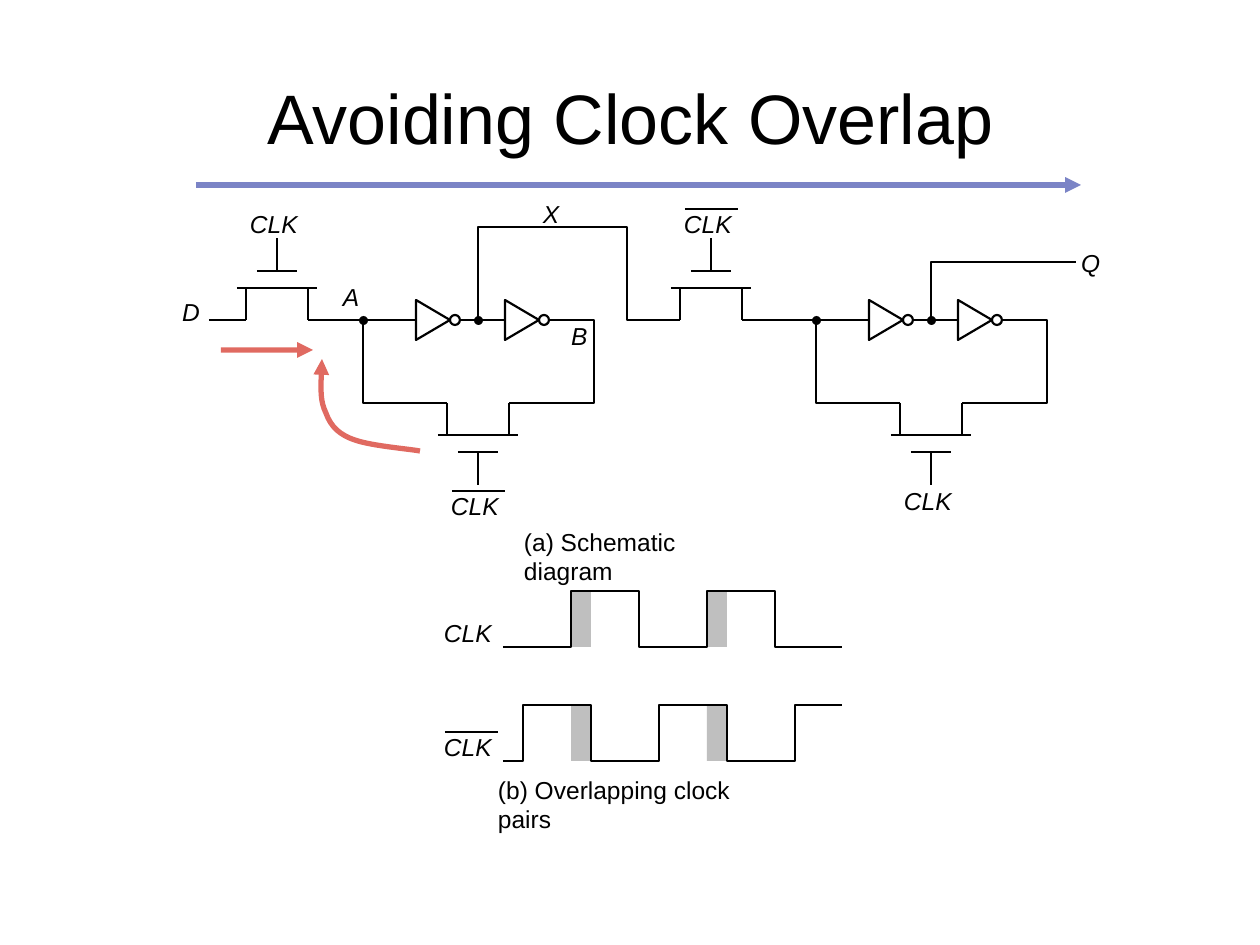
from dataclasses import dataclass

from lxml.etree import SubElement
from pptx import Presentation
from pptx.dml.color import RGBColor
from pptx.enum.shapes import MSO_CONNECTOR as Connector, MSO_SHAPE as Preset
from pptx.enum.text import MSO_ANCHOR as Anchor, MSO_AUTO_SIZE as AutoSize, PP_ALIGN as Align
from pptx.oxml.ns import qn
from pptx.util import Pt

EMU_PER_PX = 914400 / 126


@dataclass(frozen=True)
class Theme:
    font: str = "Arial"
    title_size: int = 40
    label_size: int = 14
    ink: str = "000000"
    paper: str = "FFFFFF"
    overlap: str = "BFBFBF"
    rule: str = "7B84C6"
    signal: str = "D01608"
    signal_alpha: int = 64
    wire: float = 0.88
    bar: float = 1.25
    arrow: float = 3


THEME = Theme()


def px(value):
    return round(value * EMU_PER_PX)


def color(code):
    return RGBColor.from_string(code)


def add_run(paragraph, text, size, italic=False):
    run = paragraph.add_run()
    run.text = text
    run.font.name = THEME.font
    run.font.size = Pt(size)
    run.font.italic = italic
    run.font.color.rgb = color(THEME.ink)


def style_line(shape, width, code, alpha=None, arrow=False):
    shape.line.color.rgb = color(code)
    shape.line.width = Pt(width)
    line = shape._element.find(".//" + qn("a:ln"))
    if alpha is not None:
        SubElement(line.find(".//" + qn("a:srgbClr")), qn("a:alpha"), val=str(alpha * 1000))
    if arrow:
        SubElement(line, qn("a:tailEnd"), type="triangle")


@dataclass
class Region:
    slide: object
    left: int
    top: int

    def line(self, start, end, width=THEME.wire, code=THEME.ink, **options):
        points = [px(v) for x, y in (start, end) for v in (self.left + x, self.top + y)]
        connector = self.slide.shapes.add_connector(Connector.STRAIGHT, *points)
        style_line(connector, width, code, **options)
        SubElement(connector._element.spPr, qn("a:effectLst"))

    def outline(self, points, width=THEME.wire, code=THEME.ink, close=False, **options):
        placed = [(self.left + x, self.top + y) for x, y in points]
        builder = self.slide.shapes.build_freeform(*placed[0], scale=EMU_PER_PX)
        builder.add_line_segments(placed[1:], close=close)
        shape = builder.convert_to_shape()
        shape.shadow.inherit = False
        shape.fill.background()
        style_line(shape, width, code, **options)
        return shape

    def curve(self, points, **options):
        shape = self.outline(points, **options)
        outline_path = shape._element.find(".//" + qn("a:path"))
        segments = outline_path.findall(qn("a:lnTo"))
        for first in range(0, len(segments), 3):
            bezier = SubElement(outline_path, qn("a:cubicBezTo"))
            for segment in segments[first:first + 3]:
                bezier.append(segment[0])
                outline_path.remove(segment)

    def solid(self, preset, left, top, width, height, fill, outlined=False):
        shape = self.slide.shapes.add_shape(
            preset, px(self.left + left), px(self.top + top), px(width), px(height))
        shape.shadow.inherit = False
        shape.fill.solid()
        shape.fill.fore_color.rgb = color(fill)
        if outlined:
            style_line(shape, THEME.bar, THEME.ink)
        else:
            shape.line.fill.background()

    def label(self, text, left, top, width=48, italic=True, overline=False):
        box = self.slide.shapes.add_textbox(
            px(self.left + left), px(self.top + top), px(width), px(29))
        frame = box.text_frame
        frame.margin_left = frame.margin_right = frame.margin_top = frame.margin_bottom = 0
        frame.word_wrap = False
        frame.auto_size = AutoSize.SHAPE_TO_FIT_TEXT
        add_run(frame.paragraphs[0], text, THEME.label_size, italic)
        if overline:
            self.line((left + 1, top), (left + 54, top))


def add_header(slide, left, top, width, height):
    title = slide.shapes.title
    title.left, title.top, title.width, title.height = map(px, (left, top, width, height))
    title.text_frame.vertical_anchor = Anchor.MIDDLE
    paragraph = title.text_frame.paragraphs[0]
    paragraph.alignment = Align.CENTER
    add_run(paragraph, "Avoiding Clock Overlap", THEME.title_size)
    Region(slide, left, top).line((133, 147), (1018, 147), THEME.arrow, THEME.rule, arrow=True)


def add_transistor(region, center, channel, side):
    plate = channel + side * 17
    for leg in (center - 31, center + 31):
        region.line((leg, channel - side * 32), (leg, channel))
    region.line((center - 40, channel), (center + 40, channel), THEME.bar)
    region.line((center - 20, plate), (center + 20, plate), THEME.bar)
    region.line((center, plate), (center, channel + side * 50))


def add_inverter(region, left, row):
    region.outline([(left, row + 20), (left + 34, row), (left, row - 20)], THEME.bar, close=True)
    region.solid(Preset.OVAL, left + 34, row - 5, 10, 10, THEME.paper, outlined=True)


def add_latch(region, node, row):
    middle, end, depth = node + 115, node + 231, row + 83
    region.line((node, row), (node + 53, row))
    region.line((node + 97, row), (node + 142, row))
    region.outline([(node, row), (node, depth), (middle - 31, depth)])
    region.outline([(node + 187, row), (end, row), (end, depth), (middle + 31, depth)])
    for left in (node + 53, node + 142):
        add_inverter(region, left, row)
    for dot in (node, middle):
        region.solid(Preset.OVAL, dot - 4, row - 4, 9, 9, THEME.ink)
    add_transistor(region, middle, row + 115, 1)


def add_schematic(slide, left, top):
    region = Region(slide, left, top)
    row, master, follower = 130, 181, 634
    for center in (95, 529):
        add_transistor(region, center, row - 32, -1)
    region.line((27, row), (64, row))
    region.line((126, row), (master, row))
    region.line((560, row), (follower, row))
    region.outline([(498, row), (445, row), (445, 37), (master + 115, 37), (master + 115, row)])
    region.outline([(follower + 115, row), (follower + 115, 72), (894, 72)])
    for node in (master, follower):
        add_latch(region, node, row)

    for text, x, y in (("D", 0, 107), ("A", 161, 92), ("X", 361, 9), ("B", 389, 131), ("Q", 899, 58)):
        region.label(text, x, y, 18)
    for x, y, inverted in ((68, 19, False), (502, 19, True), (269, 301, True), (722, 296, False)):
        region.label("CLK", x, y, overline=inverted)
    region.label("(a) Schematic diagram", 342, 337, 247, italic=False)

    signal = dict(width=THEME.arrow, code=THEME.signal, alpha=THEME.signal_alpha, arrow=True)
    region.line((39, 160), (131, 160), **signal)
    region.curve([(238, 261), (228, 259), (190, 256), (173, 250), (158, 245),
                  (149, 237), (144, 223), (138, 211), (139, 189), (140, 169)], **signal)


def add_waveform(region, start, top, edges, inverted):
    height = 56
    for shade in (68, 204):
        region.solid(Preset.RECTANGLE, start + shade, top, 20, height, THEME.overlap)
    level = top + height
    points = [(start, level)]
    for edge in edges:
        points.append((start + edge, level))
        level = 2 * top + height - level
        points.append((start + edge, level))
    region.outline(points + [(start + 339, level)])
    region.label("CLK", 0, top + 27, overline=inverted)


def add_timing(slide, left, top):
    region = Region(slide, left, top)
    half = 68
    add_waveform(region, 59, 0, [half * step for step in range(1, 5)], False)
    add_waveform(region, 59, 114, [20 + half * step for step in range(5)], True)
    region.label("(b) Overlapping clock pairs", 54, 184, 292, italic=False)


def main():
    presentation = Presentation()
    presentation.slide_width, presentation.slide_height = px(1260), px(945)
    slide = presentation.slides.add_slide(presentation.slide_layouts[5])
    add_header(slide, 63, 38, 1134, 158)
    add_schematic(slide, 182, 190)
    add_timing(slide, 444, 591)
    presentation.save("out.pptx")


if __name__ == "__main__":
    main()
